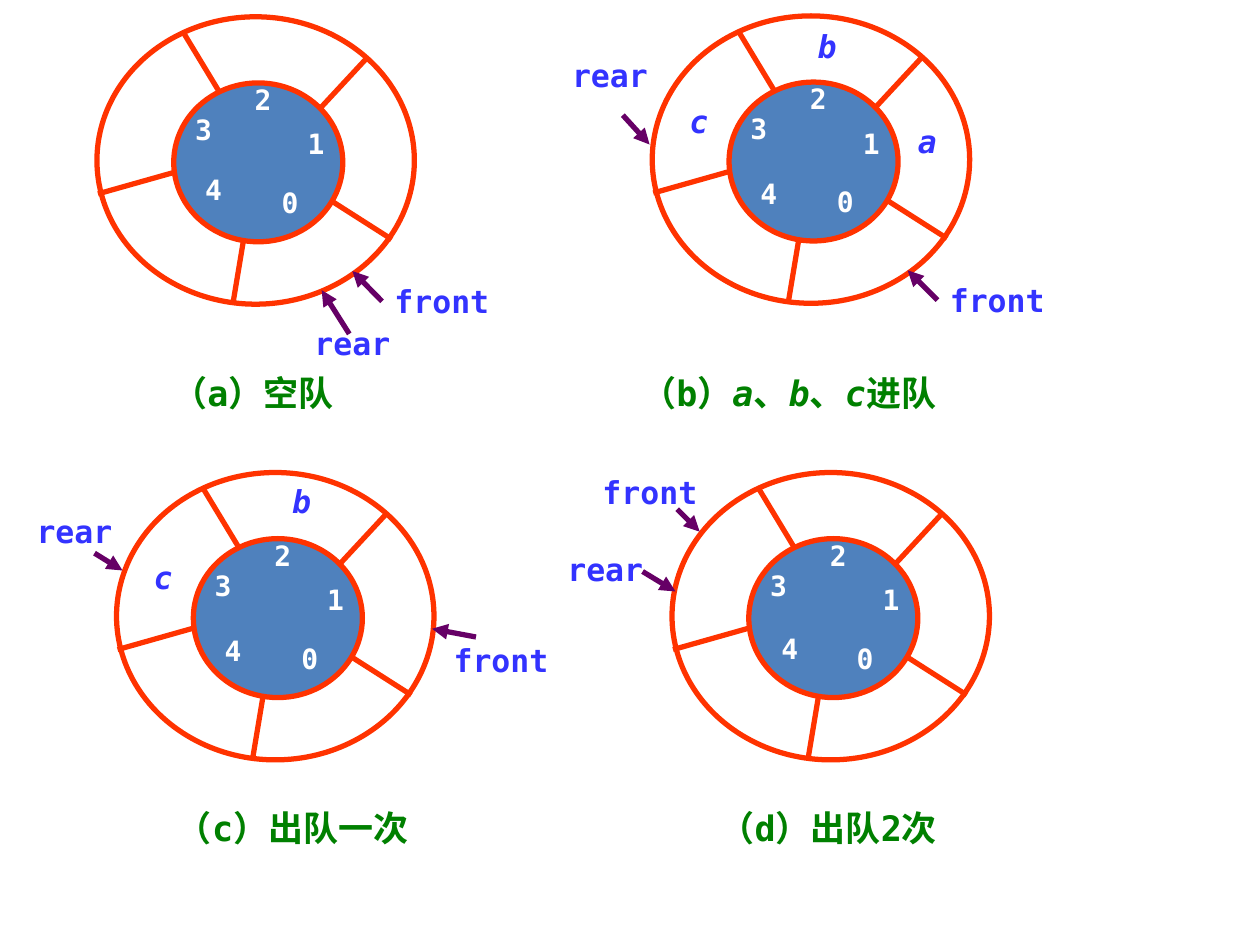
from lxml import etree
from pptx import Presentation
from pptx import util as u
from pptx.dml.color import RGBColor
from pptx.enum import shapes, text
from pptx.oxml.ns import qn

COLORS = {"ring": "FF3300", "hub": "4F81BD", "digit": "FFFFFF",
          "label": "3333FF", "arrow": "660066", "caption": "008000"}

RING_SIZE = (181.4, 164.2)
HUB = (43.9, 37.8, 96.6, 90.8)
# Spokes and slot numbers are measured from the ring's top left corner.
SPOKES = [(134.6, 105.6, 168.5, 127.2), (128.2, 51.6, 154.2, 23.6),
          (49.9, 9.8, 70.1, 43.2), (83.6, 128.6, 77.9, 162.8),
          (0.6, 101.2, 43.8, 89)]
SLOTS = [(99.2, 96.6), (114, 63), (83.8, 37.7), (49.7, 54.9)]

WORD_SIZE = (56.9, 21.6)
ITEM_SIZE = (22.3, 21.6)
DIGIT_SIZE = (22.3, 19.4)

# Words, items and arrows are in slide coordinates; every second caption piece is italic.
STATES = [
    dict(ring=(55.4, 9.6), last_slot=(55.4, 89.2),
         words=[("front", 224, 161.1), ("rear", 172.9, 184.9)], items=[],
         arrows=[(218.3, 172.2, 201.4, 154.9), (199.6, 190.8, 183.8, 165.8)],
         caption=["（a）空队"], caption_box=(76.5, 209, 136.1, 31.7)),
    dict(ring=(372.7, 9.1), last_slot=(55.4, 91.9),
         words=[("front", 541.4, 160.5), ("rear", 320.1, 31.9)],
         items=[("a", 518.7, 69.8), ("b", 461.5, 15.5), ("c", 388.2, 58.5)],
         arrows=[(535.7, 171.5, 518.7, 154.5), (355.9, 65.8, 371.2, 82.6)],
         caption=["（b）", "a", "、", "b", "、", "c", "进队"],
         caption_box=(325.8, 209, 249.8, 31.7)),
    dict(ring=(66.6, 270), last_slot=(55.4, 92.2),
         words=[("front", 257.8, 366.2), ("rear", 14.1, 292.5)],
         items=[("b", 161.2, 275.5), ("c", 82.1, 318.9)],
         arrows=[(272, 364, 246.9, 359.3), (54, 316.1, 70, 326)],
         caption=["（c）出队一次"], caption_box=(42.4, 457.4, 249.8, 31.7)),
    dict(ring=(384, 270), last_slot=(56.2, 90.9),
         words=[("front", 342.9, 270.3), ("rear", 317.4, 314.6)], items=[],
         arrows=[(367.2, 326.6, 386, 338), (387, 291, 399.8, 303.8)],
         caption=["（d）出队2次"], caption_box=(348.4, 457.4, 249.8, 31.7)),
]


class Painter:
    """Draws styled elements on a slide."""

    font = "DejaVu Sans Mono"
    line_width = 3

    def __init__(self, slide):
        self.slide = slide

    def set_line(self, line, color):
        line.color.rgb = RGBColor.from_string(COLORS[color])
        line.width = u.Pt(self.line_width)

    def ellipse(self, x, y, w, h, fill=None):
        sp = self.slide.shapes.add_shape(
            shapes.MSO_SHAPE.OVAL, u.Pt(x), u.Pt(y), u.Pt(w), u.Pt(h))
        sp.shadow.inherit = False
        if fill:
            sp.fill.solid()
            sp.fill.fore_color.rgb = RGBColor.from_string(COLORS[fill])
        else:
            sp.fill.background()
        self.set_line(sp.line, "ring")

    def line(self, x1, y1, x2, y2, color="ring", arrow=False):
        sp = self.slide.shapes.add_connector(
            shapes.MSO_CONNECTOR.STRAIGHT, u.Pt(x1), u.Pt(y1), u.Pt(x2), u.Pt(y2))
        self.set_line(sp.line, color)
        props = sp._element.spPr
        if arrow:
            etree.SubElement(props.find(qn("a:ln")), qn("a:tailEnd"), type="triangle")
        etree.SubElement(props, qn("a:effectLst"))

    def text(self, pieces, box, size, color, italic=False, inset=(0, 0)):
        """Add a centred line; every second piece has its slant switched."""
        tf = self.slide.shapes.add_textbox(*map(u.Pt, box)).text_frame
        side, edge = map(u.Pt, inset)
        frame = {"word_wrap": True, "auto_size": text.MSO_AUTO_SIZE.SHAPE_TO_FIT_TEXT,
                 "margin_left": side, "margin_right": side,
                 "margin_top": edge, "margin_bottom": edge}
        for key, value in frame.items():
            setattr(tf, key, value)
        p = tf.paragraphs[0]
        p.alignment = text.PP_ALIGN.CENTER
        for i, piece in enumerate(pieces):
            r = p.add_run()
            r.text = piece
            look = {"name": self.font, "size": u.Pt(size), "bold": True,
                    "italic": italic != (i % 2 == 1)}
            for key, value in look.items():
                setattr(r.font, key, value)
            r.font.color.rgb = RGBColor.from_string(COLORS[color])

    def ring(self, x, y, last_slot):
        """Draw a five-slot ring with its numbered hub."""
        hub_x, hub_y, hub_w, hub_h = HUB
        self.ellipse(x + hub_x, y + hub_y, hub_w, hub_h, "hub")
        self.ellipse(x, y, *RING_SIZE)
        for x1, y1, x2, y2 in SPOKES:
            self.line(x + x1, y + y1, x + x2, y + y2)
        for number, (dx, dy) in enumerate(SLOTS + [last_slot]):
            self.text([str(number)], (x + dx, y + dy, *DIGIT_SIZE), 16, "digit")

    def queue(self, state):
        """Draw one queue state: ring, contents, pointers and caption."""
        self.ring(*state["ring"], state["last_slot"])
        for word, x, y in state["words"]:
            self.text([word], (x, y, *WORD_SIZE), 18, "label")
        for item, x, y in state["items"]:
            self.text([item], (x, y, *ITEM_SIZE), 18, "label", italic=True)
        for ends in state["arrows"]:
            self.line(*ends, color="arrow", arrow=True)
        self.text(state["caption"], state["caption_box"], 20, "caption", inset=(7.2, 3.6))


def main():
    prs = Presentation()
    prs.slide_width, prs.slide_height = u.Pt(720), u.Pt(540)
    s = prs.slides.add_slide(prs.slide_layouts[6])
    painter = Painter(s)
    for state in STATES:
        painter.queue(state)
    prs.save("out.pptx")


if __name__ == "__main__":
    main()
